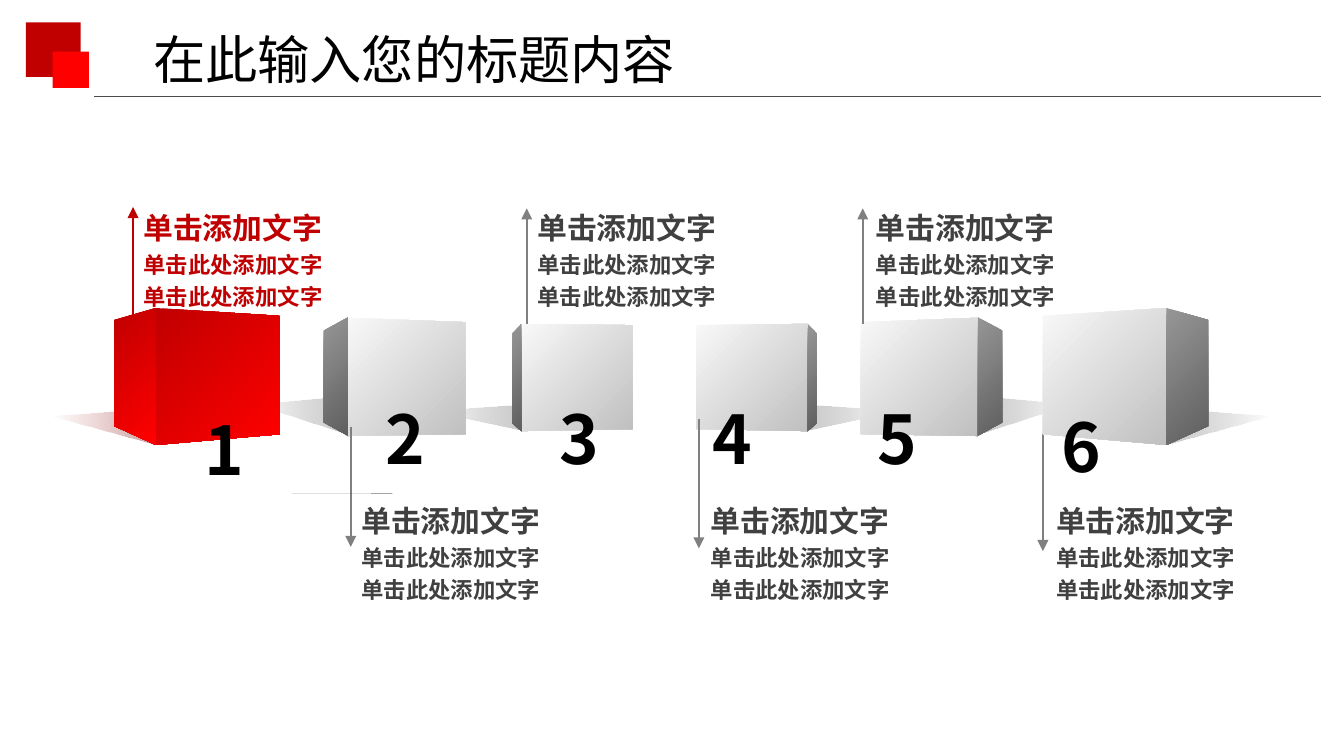
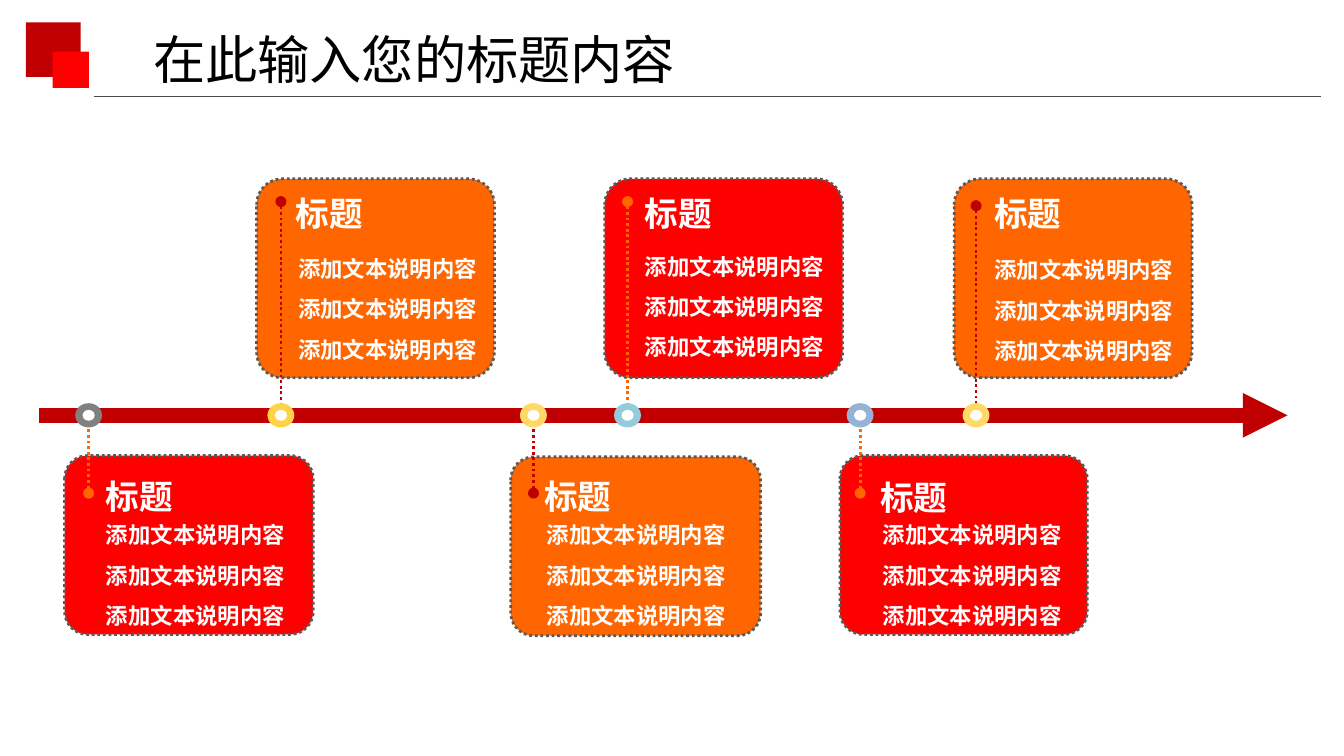
"""Build two slides: a row of six cubes and a timeline of six cards."""
from lxml.etree import SubElement as Sub
from pptx import Presentation
from pptx.dml.color import RGBColor
from pptx.enum.dml import MSO_LINE
from pptx.enum.shapes import MSO_CONNECTOR as Link, MSO_SHAPE as Kind
from pptx.enum.text import MSO_ANCHOR as Anchor, MSO_AUTO_SIZE as Fit, PP_ALIGN as Align
from pptx.oxml.ns import qn
from pptx.util import Pt

FONT = "Noto Sans CJK SC"
DARK, RED, ORANGE = "C00000", "FF0000", "FF6600"
WHITE, BLACK, TEXT, GREY = "FFFFFF", "000000", "404040", "808080"

FACE = [("F8F8F8", 100), ("C0C0C0", 100)]
SIDE = [("969696", 100), ("5F5F5F", 100)]
SHADE = [("FFFFFF", 50), ("666666", 34)]
GLOW = [("FF0000", 100), ("C00000", 100)]
BLUSH = [("C0504D", 0), ("933D3B", 50)]

# Points of the face, the side and the shadow of each cube left of the middle
LARGE = ([(83.5, 165), (83.5, 238.4), (149.7, 232.7), (149.7, 169.2)],
         [(61.2, 171.4), (61.2, 228.3), (83.5, 238.4), (83.5, 165)],
         [(83.5, 238.4), (27, 223.2), (77, 219.6)])
MEDIUM = ([(186, 170.2), (186, 233.6), (249.3, 232.6), (249.3, 172.6)],
          [(173.4, 177.1), (173.4, 226.3), (186.4, 233.4), (186.4, 170)],
          [(185, 232), (136.5, 216.9), (179.3, 213.2)])
SMALL = ([(279.3, 173.5), (279.3, 231), (339, 229.9), (339, 174.2)],
         [(274.5, 178.6), (274.5, 226.8), (279.3, 231), (279.3, 173.5)],
         [(280.8, 230.5), (230, 220.3), (275.8, 217.4)])

# Text left and top, arrow left, arrow start and end, text colour, arrow colour
LABELS = [(69.8, 105.1, 71.3, 172.8, 110.9, DARK, DARK),
          (280.8, 105.1, 282.2, 173.5, 111.6, TEXT, GREY),
          (462.2, 105.1, 462.2, 173.5, 111.6, TEXT, GREY),
          (186.5, 262.1, 187.9, 229, 293, TEXT, GREY),
          (373.7, 262.1, 374.4, 224.6, 293.8, TEXT, GREY),
          (558.7, 262.1, 558.7, 231.8, 295.2, TEXT, GREY)]
DIGITS = [(106.6, 215.3), (203.8, 209.5), (296.6, 209.5),
          (378.7, 209.5), (467.3, 209.5), (565.9, 213.8)]

# Card box, fill, pin left and end, ring colour, heading box, list box
CARDS = [((137.5, 95.8, 127.4, 106.6), ORANGE, 150.5, 108, "FFD347",
          (151.2, 100.1, 100.8), (152.6, 126, 121.7)),
         ((34.6, 244.1, 133.2, 95.8), RED, 47.5, 264.2, GREY,
          (49.7, 251.3, 67.7), (49.7, 268.6, 113.8)),
         ((273.6, 244.8, 133.9, 95.8), ORANGE, 285.8, 264.2, "FFD966",
          (284.4, 251.3, 139.7), (285.8, 268.6, 121.7)),
         ((324, 95.8, 127.4, 106.6), RED, 336.2, 108, "93CDDD",
          (338.4, 100.1, 100.8), (338.4, 124.6, 123.1)),
         ((450, 244.1, 132.5, 95.8), RED, 460.8, 264.2, "95B3D7",
          (464.4, 252, 180), (465.8, 268.6, 111.6)),
         ((511.2, 95.8, 127.4, 106.6), ORANGE, 522.9, 110.2, "FFD966",
          (525.6, 100.1, 113), (525.6, 126.7, 113))]
AXIS = 222.5


def paint(fmt, color):
    """Give a fill or a font its colour."""
    if hasattr(fmt, "solid"):
        fmt.solid()
        fmt.fore_color.rgb = RGBColor.from_string(color)
    else:
        fmt.color.rgb = RGBColor.from_string(color)


def style(par, size, color, bold=True, space=None):
    """Format a whole paragraph."""
    par.line_spacing = space
    font = par.font
    font.size, font.bold, font.name = Pt(size), bold, FONT
    paint(font, color)
    Sub(par._p.pPr.find(qn("a:defRPr")), qn("a:ea"), typeface=FONT)


def write(slide, box, lines, color, space=None, wrap=True):
    """Add a text box of (text, size) lines."""
    frame = slide.shapes.add_textbox(*map(Pt, box)).text_frame
    frame.word_wrap = wrap
    frame.text = "\n".join(text for text, _ in lines)
    for par, (_, size) in zip(frame.paragraphs, lines):
        style(par, size, color, space=space)
    return frame


def block(shapes, kind, box, color):
    """Add a plain filled shape."""
    shape = shapes.add_shape(kind, *map(Pt, box))
    shape.shadow.inherit = False
    paint(shape.fill, color)
    shape.line.fill.background()
    return shape


def line(slide, start, end, color, width, head=None, tail=None, dots=False):
    """Add a straight line with optional ends."""
    link = slide.shapes.add_connector(Link.STRAIGHT, *map(Pt, start + end))
    paint(link.line.fill, color)
    link.line.width = Pt(width)
    if dots:
        link.line.dash_style = MSO_LINE.ROUND_DOT
    for tag, end_type in (("a:headEnd", head), ("a:tailEnd", tail)):
        if end_type:
            Sub(link.line._ln, qn(tag), type=end_type)
    Sub(link._element.spPr, qn("a:effectLst"))


def outline(shapes, dots):
    """Add a closed free shape without a line."""
    first, *rest = [(Pt(x), Pt(y)) for x, y in dots]
    pen = shapes.build_freeform(*first, scale=1.0)
    pen.add_line_segments(rest, close=True)
    shape = pen.convert_to_shape()
    shape.shadow.inherit = False
    shape.line.fill.background()
    return shape


def blend(shape, stops, angle=None):
    """Fill with a gradient, from the lower right corner if no angle is given."""
    shape.fill.background()
    props = shape._element.spPr
    grad = props.makeelement(qn("a:gradFill"), {"rotWithShape": "1"})
    props.replace(props.find(qn("a:noFill")), grad)
    group = Sub(grad, qn("a:gsLst"))
    for pos, (color, alpha) in zip((0, 100000), stops):
        stop = Sub(group, qn("a:gs"), pos=str(pos))
        tint = Sub(stop, qn("a:srgbClr"), val=color)
        if alpha < 100:
            Sub(tint, qn("a:alpha"), val=str(alpha * 1000))
    if angle is None:
        way = Sub(grad, qn("a:path"), path="circle")
        Sub(way, qn("a:fillToRect"), l="100000", t="100000")
    else:
        Sub(grad, qn("a:lin"), ang=str(angle * 60000), scaled="0")


def cube(slide, parts, flip=None, hot=False):
    """Draw a cube and its shadow, mirrored when flip gives the sum of both x."""
    shapes = slide.shapes.add_group_shape().shapes
    if flip:
        parts = [[(flip - x, y) for x, y in dots] for dots in parts]
    face, side, shade = parts
    blend(outline(shapes, shade), BLUSH if hot else SHADE, 180 if flip else 0)
    for dots, stops in ((face, FACE), (side, SIDE)):
        shape = outline(shapes, dots)
        if hot:
            blend(shape, GLOW)
        else:
            blend(shape, stops, 45)


def label(slide, left, top, x, start, end, color, stroke):
    """Add a heading with two lines and its arrow."""
    lines = [("单击添加文字", 16)] + [("单击此处添加文字", 12)] * 2
    write(slide, (left, top, 112.3, 65.5), lines, color, 1.2)
    line(slide, (x, start), (x, end), stroke, 1, tail="triangle")


def card(slide, box, color, x, end, ring, head, body):
    """Add a card with its pin, ring, heading and list."""
    shape = block(slide.shapes, Kind.ROUNDED_RECTANGLE, box, color)
    shape.adjustments[0] = 0.13
    paint(shape.line.fill, "595959")
    shape.line.width = Pt(1.5)
    shape.line.dash_style = MSO_LINE.ROUND_DOT
    pin = DARK if color == ORANGE else ORANGE
    line(slide, (x, end), (x, AXIS), pin, 1.5, "oval", "oval", True)
    group = slide.shapes.add_group_shape().shapes
    for wide, high, tint in ((14.4, 13, ring), (6.5, 5.8, WHITE)):
        spot = (x - wide / 2, AXIS - high / 2, wide, high)
        block(group, Kind.OVAL, spot, tint)
    write(slide, head + (28.8,), [("标题", 18)], WHITE)
    write(slide, body + (72.7,), [("添加文本说明内容", 12)] * 3, WHITE, 1.5)


def begin(deck):
    """Add a slide with the shared corner, rule and title."""
    slide = deck.slides.add_slide(deck.slide_layouts[5])
    block(slide.shapes, Kind.RECTANGLE, (13.9, 12, 29.3, 29.3), DARK)
    block(slide.shapes, Kind.RECTANGLE, (28.2, 27.7, 19.5, 19.5), RED)
    line(slide, (707.8, 51.6), (50.4, 51.6), "4D4948", 0.75)
    title = slide.shapes.title
    title.left, title.top, title.width, title.height = map(Pt, (74.9, 10.8, 305.3, 41))
    frame = title.text_frame
    frame.text = "在此输入您的标题内容"
    frame.vertical_anchor = Anchor.TOP
    frame.auto_size = Fit.SHAPE_TO_FIT_TEXT
    par = frame.paragraphs[0]
    par.alignment = Align.LEFT
    style(par, 28, BLACK, False)
    return slide


def cubes(deck):
    """Build the slide of six cubes."""
    slide = begin(deck)
    cube(slide, SMALL)
    cube(slide, MEDIUM)
    cube(slide, SMALL, 712)
    cube(slide, MEDIUM, 710.3)
    for row in LABELS:
        label(slide, *row)
    sliver = outline(slide.shapes, [(210.2, 264.2), (156.2, 264.2), (210.2, 264.3)])
    paint(sliver.fill, "020202")
    cube(slide, LARGE, 708.4)
    cube(slide, LARGE, hot=True)
    for num, (left, top) in enumerate(DIGITS, 1):
        frame = write(slide, (left, top, 10, 15.1), [(str(num), 36)], BLACK, wrap=False)
        frame.paragraphs[0].alignment = Align.CENTER


def cards(deck):
    """Build the timeline slide."""
    slide = begin(deck)
    line(slide, (20.9, AXIS), (689.8, AXIS), DARK, 8, tail="triangle")
    for row in CARDS:
        card(slide, *row)


def main():
    """Build and save the deck."""
    deck = Presentation()
    deck.slide_width, deck.slide_height = Pt(720), Pt(405)
    cubes(deck)
    cards(deck)
    deck.save("out.pptx")


if __name__ == "__main__":
    main()
